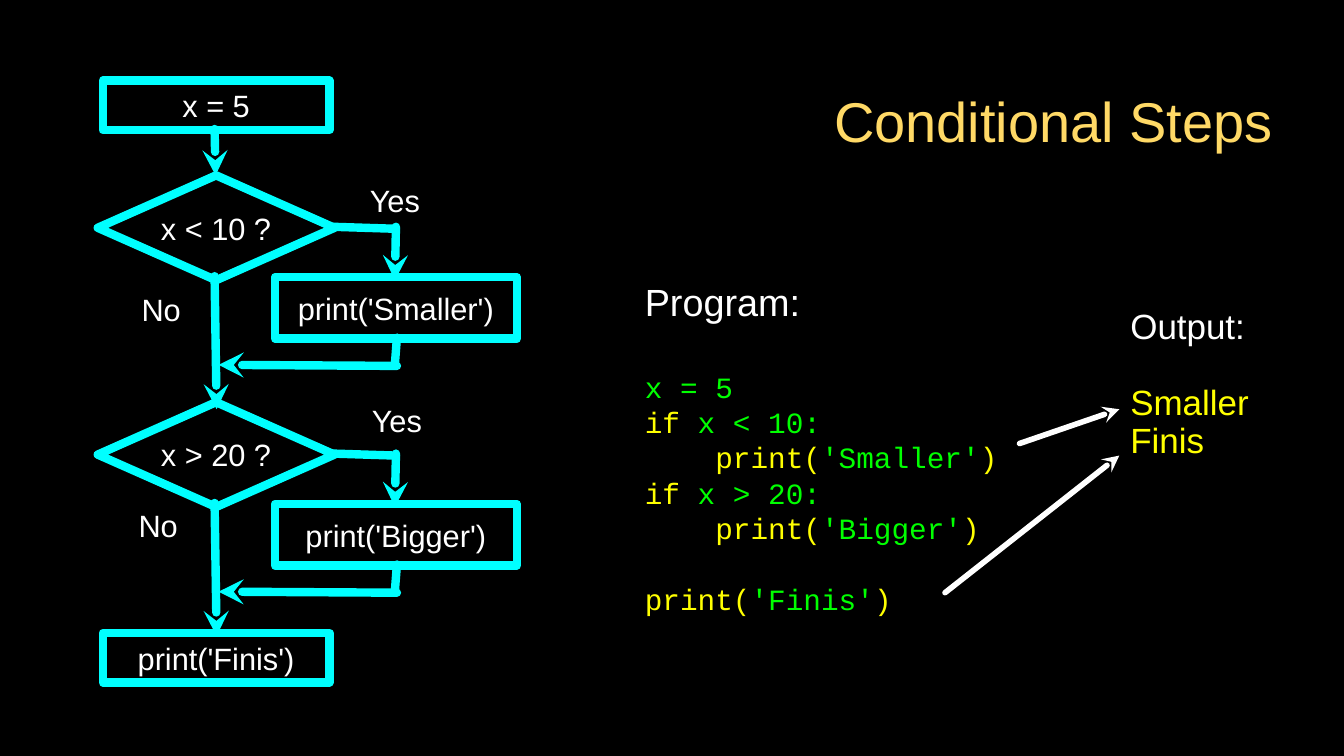
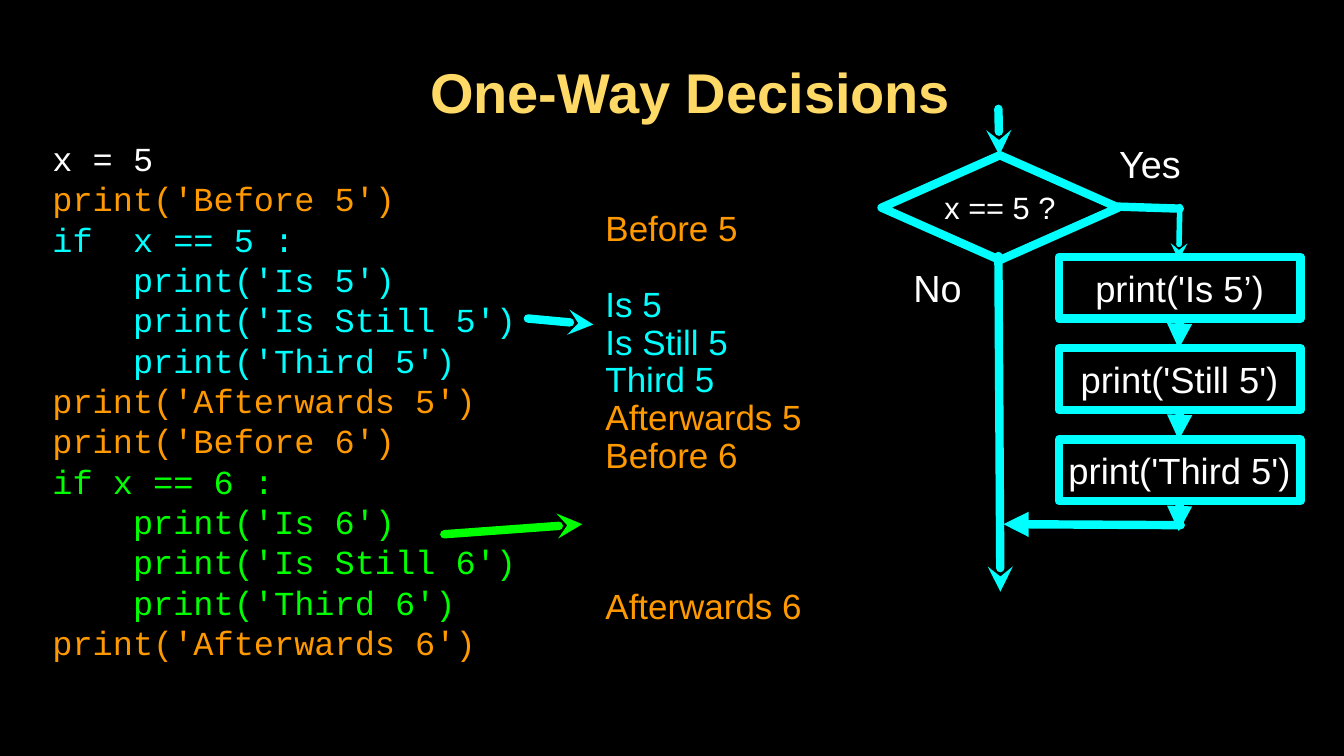
from dataclasses import dataclass
from typing import Any, Optional

import pptx
import pptx.dml.color
import pptx.enum.shapes
import pptx.enum.text
import pptx.oxml
import pptx.oxml.ns
import pptx.util
from pptx.util import Inches

ALIGN = pptx.enum.text.PP_ALIGN
SHAPE = pptx.enum.shapes.MSO_SHAPE


@dataclass(frozen=True)
class Theme:
    background: str = "000000"
    title: str = "FFD966"
    text: str = "FFFFFF"
    flow: str = "00FFFF"
    green: str = "00FF00"
    yellow: str = "FFFF00"
    orange: str = "FF9900"
    sans: str = "Arial"
    mono: str = "Courier New"
    title_size: int = 40
    heading_size: int = 27
    step_size: int = 26
    output_size: int = 25
    code_size: int = 24
    label_size: int = 22
    small_code_size: int = 21
    heavy: int = 6
    light: int = 4
    code_leading: float = 1.2
    output_leading: float = 1.08


THEME = Theme()


@dataclass(frozen=True)
class Area:
    left: float
    top: float
    width: float
    height: float

    def lengths(self) -> tuple[int, ...]:
        return tuple(Inches(n) for n in (self.left, self.top, self.width, self.height))


@dataclass(frozen=True)
class Span:
    text: str
    color: str


@dataclass(frozen=True)
class Row:
    """One line of text; gap is the space before it in points."""
    spans: tuple[Span, ...]
    font: str
    size: int
    leading: float
    gap: float = 0


@dataclass(frozen=True)
class Stroke:
    start: tuple[float, float]
    end: tuple[float, float]
    head: Optional[str] = "stealth"
    color: str = THEME.flow
    weight: int = THEME.heavy


def rgb(color: str) -> pptx.dml.color.RGBColor:
    return pptx.dml.color.RGBColor.from_string(color)


def style_font(para: Any, size: int, color: str, name: str = THEME.sans) -> None:
    para.font.name = name
    para.font.size = pptx.util.Pt(size)
    para.font.color.rgb = rgb(color)


def prepare_frame(frame: Any, margin: float = 0, wrap: bool = True) -> None:
    frame.margin_left = frame.margin_right = Inches(margin)
    frame.margin_top = frame.margin_bottom = Inches(margin)
    frame.vertical_anchor = pptx.enum.text.MSO_ANCHOR.MIDDLE
    frame.auto_size = pptx.enum.text.MSO_AUTO_SIZE.NONE
    frame.word_wrap = wrap


def add_page(deck: Any, title: str, area: Area, bold: bool = False) -> Any:
    page = deck.slides.add_slide(deck.slide_layouts.get_by_name("Title Only"))
    box = page.shapes.title
    box.left, box.top, box.width, box.height = area.lengths()
    prepare_frame(box.text_frame, 0.03)
    box.text_frame.text = title
    para = box.text_frame.paragraphs[0]
    para.alignment = ALIGN.RIGHT
    style_font(para, THEME.title_size, THEME.title)
    para.font.bold = bold
    return page


def fill_label(frame: Any, text: str, size: int) -> None:
    prepare_frame(frame, wrap=False)
    frame.text = text
    para = frame.paragraphs[0]
    para.alignment = ALIGN.CENTER
    style_font(para, size, THEME.text)


def add_label(page: Any, text: str, area: Area, size: int = THEME.label_size) -> None:
    fill_label(page.shapes.add_textbox(*area.lengths()).text_frame, text, size)


def add_rows(page: Any, area: Area, rows: list[Row]) -> None:
    frame = page.shapes.add_textbox(*area.lengths()).text_frame
    prepare_frame(frame)
    for index, row in enumerate(rows):
        para = frame.paragraphs[0] if index == 0 else frame.add_paragraph()
        para.line_spacing = pptx.util.Pt(row.size * row.leading)
        if row.gap:
            para.space_before = pptx.util.Pt(row.gap)
        style_font(para, row.size, row.spans[0].color, row.font)
        for span in row.spans:
            run = para.add_run()
            run.text = span.text
            if span.color != row.spans[0].color:
                run.font.color.rgb = rgb(span.color)


def round_line(line: Any, color: str, weight: int, head: Optional[str] = None) -> None:
    """Give a line its colour, weight, round ends and optional arrowhead."""
    line.color.rgb = rgb(color)
    line.width = pptx.util.Pt(weight)
    element = line._get_or_add_ln()
    element.set("cap", "rnd")
    pptx.oxml.ns.qn("a:round")
    element.append(pptx.oxml.parse_xml(f"<a:round {pptx.oxml.ns.nsdecls('a')}/>"))
    if head:
        element.append(pptx.oxml.parse_xml(
            f"<a:tailEnd {pptx.oxml.ns.nsdecls('a')} type=\"{head}\"/>"))


def add_stroke(page: Any, stroke: Stroke) -> None:
    points = [Inches(n) for n in (*stroke.start, *stroke.end)]
    connector = page.shapes.add_connector(
        pptx.enum.shapes.MSO_CONNECTOR.STRAIGHT, *points)
    round_line(connector.line, stroke.color, stroke.weight, stroke.head)
    connector._element.spPr.append(
        pptx.oxml.parse_xml(f"<a:effectLst {pptx.oxml.ns.nsdecls('a')}/>"))


def add_node(page: Any, text: str, area: Area, size: int = THEME.label_size,
             kind: Any = SHAPE.RECTANGLE) -> None:
    node = page.shapes.add_shape(kind, *area.lengths())
    node.shadow.inherit = False
    node.fill.background()
    round_line(node.line, THEME.flow, THEME.heavy)
    fill_label(node.text_frame, text, size)


def step_area(left: float, top: float) -> Area:
    return Area(left, top, 2.4, 0.61)


def add_decision(page: Any, left: float, top: float, question: str,
                 drop: float, weight: int = THEME.heavy) -> None:
    """Draw a diamond, its Yes branch to the right and its No branch of length drop."""
    add_node(page, question, Area(left, top, 2.35, 1.04), kind=SHAPE.DIAMOND)
    corner = left + 2.96
    for stroke in (
        Stroke((left + 1.16, top + 1), (left + 1.18, top + 1 + drop)),
        Stroke((left + 2.34, top + 0.51), (corner, top + 0.53), None, weight=THEME.heavy),
        Stroke((corner, top + 0.51), (corner - 0.01, top + 1.04), weight=weight),
    ):
        add_stroke(page, stroke)


def add_entry(page: Any, left: float, top: float) -> None:
    add_stroke(page, Stroke((left + 1.16, top - 0.46), (left + 1.17, top)))


def code_row(*spans: Span, gap: float = 0) -> Row:
    return Row(spans, THEME.mono, THEME.small_code_size, THEME.code_leading, gap)


def print_row(value: str, indent: str = "", gap: float = 0) -> Row:
    return code_row(Span(f"{indent}print(", THEME.yellow), Span(value, THEME.green),
                    Span(")", THEME.yellow), gap=gap)


def if_row(test: str) -> Row:
    return code_row(Span("if ", THEME.yellow), Span(test, THEME.green))


def output_row(text: str, color: str, blank_lines: int = 0) -> Row:
    gap = blank_lines * THEME.output_size * THEME.output_leading
    return Row((Span(text, color),), THEME.sans, THEME.output_size,
               THEME.output_leading, gap)


def build_conditional_steps(deck: Any) -> None:
    page = add_page(deck, "Conditional Steps", Area(4.8, 0.63, 7.86, 1.12))
    add_rows(page, Area(11.22, 2.92, 1.3, 1.79), [
        output_row("Output:", THEME.text),
        output_row("Smaller", THEME.yellow, 1),
        output_row("Finis", THEME.yellow),
    ])
    add_rows(page, Area(6.4, 2.39, 3.72, 4.09), [
        Row((Span("Program:", THEME.text),), THEME.sans, THEME.heading_size,
            THEME.code_leading),
        code_row(Span("x = 5", THEME.green),
                 gap=THEME.heading_size * THEME.code_leading),
        if_row("x < 10:"),
        print_row("'Smaller'", "    "),
        if_row("x > 20:"),
        print_row("'Bigger'", "    "),
        print_row("'Finis'", gap=THEME.small_code_size * THEME.code_leading),
    ])
    for start, end in (((10.12, 4.4), (11.11, 4.06)), ((9.38, 5.88), (11.11, 4.52))):
        add_stroke(page, Stroke(start, end, color=THEME.text, weight=THEME.light))

    left, first_top, pitch = 0.97, 1.74, 2.25
    for text, top in (("x = 5", 0.8), ("print('Finis')", 6.28)):
        add_node(page, text, Area(1.02, top, 2.25, 0.49))
    add_entry(page, left, first_top)
    for index, (question, step) in enumerate(
            (("x < 10 ?", "print('Smaller')"), ("x > 20 ?", "print('Bigger')"))):
        top = first_top + index * pitch
        add_decision(page, left, top, question, 1.32)
        add_node(page, step, step_area(2.73, top + 1.01))
        add_stroke(page, Stroke((3.94, top + 1.61), (3.92, top + 1.87), None))
        add_stroke(page, Stroke((3.94, top + 1.89), (2.17, top + 1.88)))
    for text, area in (
        ("Yes", Area(3.62, 1.73, 0.6, 0.51)),
        ("No", Area(1.3, 2.78, 0.6, 0.58)),
        ("Yes", Area(3.64, 3.91, 0.6, 0.51)),
        ("No", Area(1.27, 5, 0.6, 0.43)),
    ):
        add_label(page, text, area)


def build_one_way_decisions(deck: Any) -> None:
    page = add_page(deck, "One-Way Decisions", Area(1.66, 0.46, 7.8, 0.88), bold=True)
    code = (
        (THEME.text, ("x = 5",)),
        (THEME.orange, ("print('Before 5')",)),
        (THEME.flow, ("if  x == 5 :", "    print('Is 5')",
                      "    print('Is Still 5')", "    print('Third 5')")),
        (THEME.orange, ("print('Afterwards 5')", "print('Before 6')")),
        (THEME.green, ("if x == 6 :", "    print('Is 6')",
                       "    print('Is Still 6')", "    print('Third 6')")),
        (THEME.orange, ("print('Afterwards 6')",)),
    )
    add_rows(page, Area(0.52, 1.3, 4.68, 5.34), [
        Row((Span(text, color),), THEME.mono, THEME.code_size, THEME.code_leading)
        for color, lines in code for text in lines
    ])
    add_rows(page, Area(6.01, 1.71, 2.32, 4.89), [
        output_row("Before 5", THEME.orange),
        output_row("Is 5", THEME.flow, 1),
        output_row("Is Still 5", THEME.flow),
        output_row("Third 5", THEME.flow),
        output_row("Afterwards 5", THEME.orange),
        output_row("Before 6", THEME.orange),
        output_row("Afterwards 6", THEME.orange, 3),
    ])
    add_stroke(page, Stroke((5.24, 3.16), (5.89, 3.22)))
    add_stroke(page, Stroke((4.41, 5.3), (5.78, 5.2), color=THEME.green))

    left, top = 8.75, 1.54
    add_entry(page, left, top)
    add_decision(page, left, top, "x == 5 ?", 3.33, THEME.light)
    add_stroke(page, Stroke((11.72, 5.21), (9.96, 5.2), "triangle"))
    for index, step in enumerate(("print('Is 5’)", "print('Still 5')", "print('Third 5')")):
        step_top = 2.55 + index * 0.905
        add_node(page, step, step_area(10.51, step_top), THEME.step_size)
        add_stroke(page, Stroke((11.71, step_top + 0.62), (11.7, step_top + 0.91), "triangle"))
    add_label(page, "Yes", Area(10.96, 1.37, 0.91, 0.51), THEME.heading_size)
    add_label(page, "No", Area(9.01, 2.6, 0.59, 0.51), THEME.heading_size)


def main() -> None:
    deck = pptx.Presentation()
    deck.slide_width, deck.slide_height = Inches(13.34), Inches(7.5)
    fill = deck.slide_master.background.fill
    fill.solid()
    fill.fore_color.rgb = rgb(THEME.background)
    build_conditional_steps(deck)
    build_one_way_decisions(deck)
    deck.save("out.pptx")


if __name__ == "__main__":
    main()
